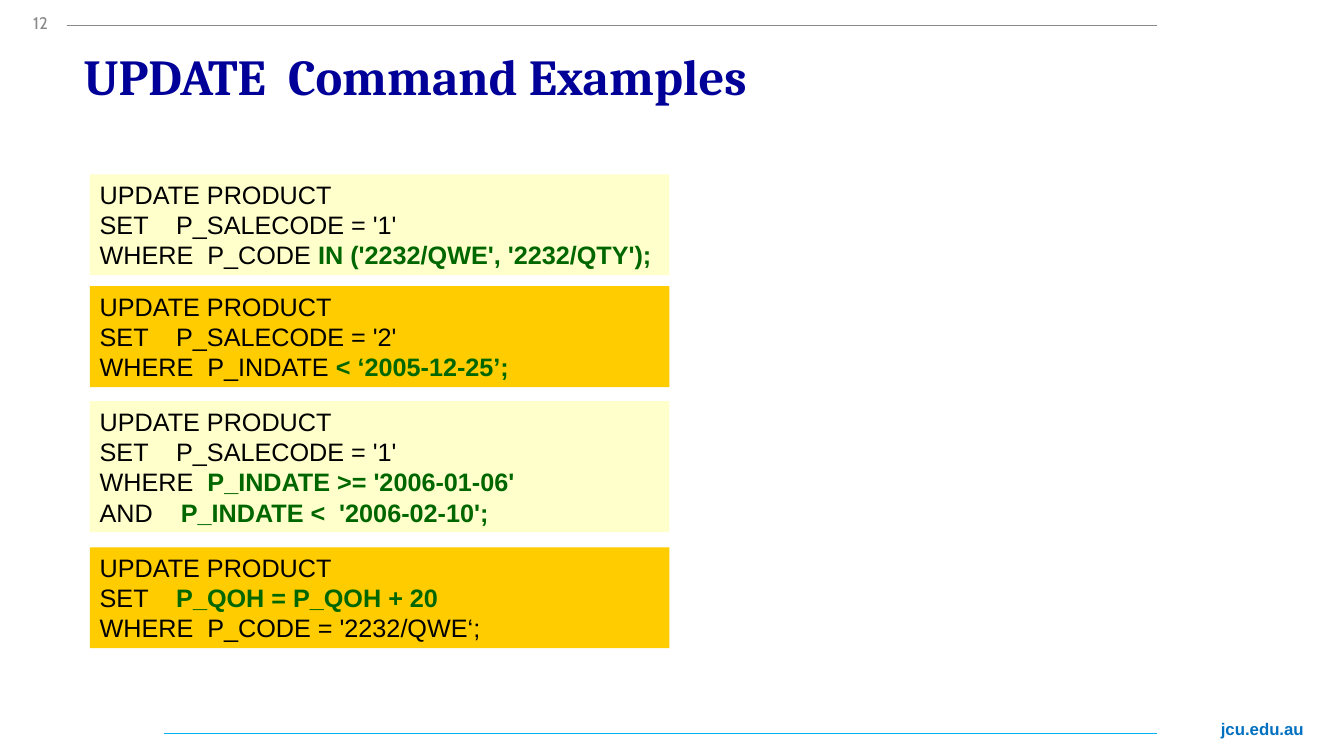
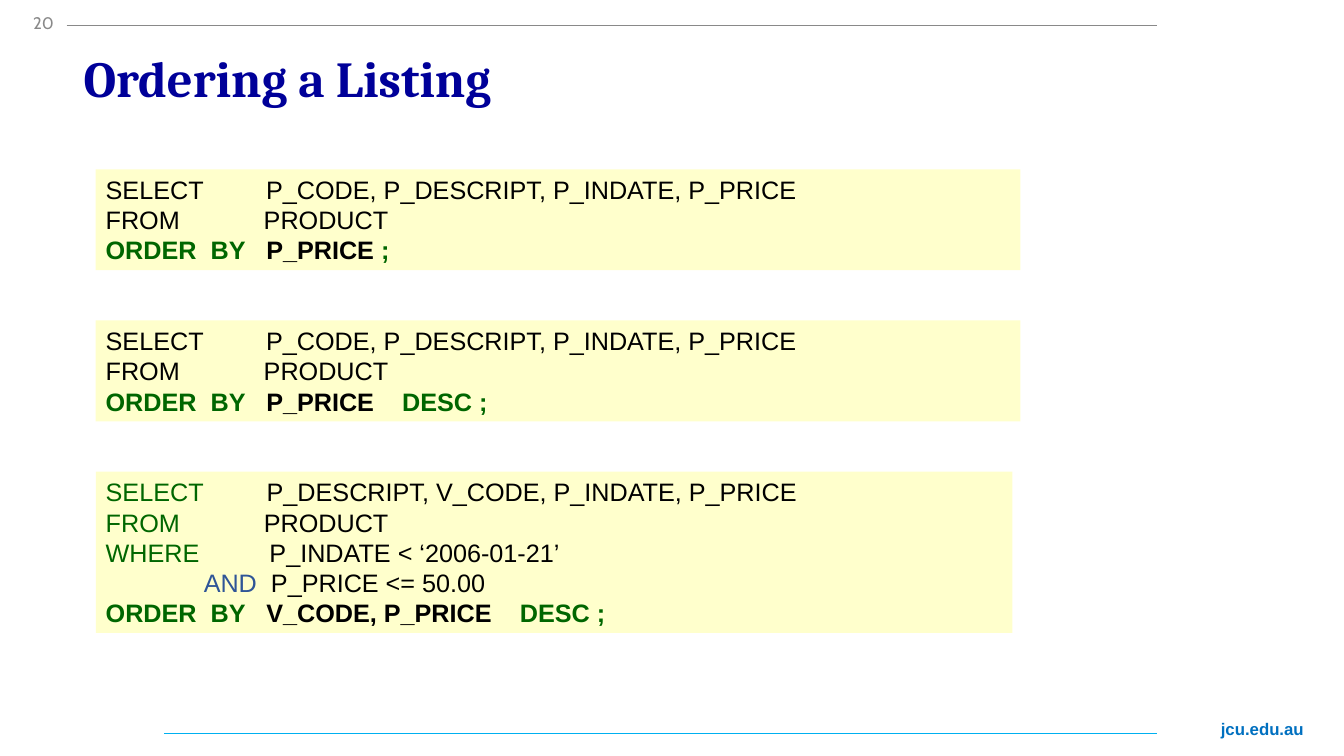
from lxml import etree
from pptx import Presentation
from pptx.dml.color import RGBColor
from pptx.enum.shapes import MSO_CONNECTOR, MSO_SHAPE
from pptx.enum.text import MSO_ANCHOR, PP_ALIGN
from pptx.oxml.ns import qn
from pptx.util import Inches, Pt

COLORS = {
    "title": "000099",
    "site": "0070C0",
    "number": "898989",
    "top_rule": "898989",
    "bottom_rule": "00B0F0",
    "cream": "FFFFCC",
    "amber": "FFCC00",
    "black": "000000",
    "green": "006600",
    "blue": "2F5597",
}

# Code styles: colour and bold
PLAIN = ("black", False)
STRONG = ("black", True)
KEYWORD = ("green", False)
KEY_STRONG = ("green", True)
OPERATOR = ("blue", False)

LINE_HEIGHT = 0.3
CODE_PADDING = 0.1


def rgb(name):
    return RGBColor.from_string(COLORS[name])


def style_run(run, size, font, color, bold=False):
    run.font.size = Pt(size)
    run.font.name = font
    run.font.bold = bold
    run.font.color.rgb = rgb(color)


def add_label(slide, box, text, size, font, color, bold=False):
    label = slide.shapes.add_textbox(*map(Inches, box))
    label.text_frame.word_wrap = True
    paragraph = label.text_frame.paragraphs[0]
    paragraph.text = text
    style_run(paragraph.runs[0], size, font, color, bold)
    return paragraph


def add_rule(slide, left, right, y, color):
    rule = slide.shapes.add_connector(
        MSO_CONNECTOR.STRAIGHT, Inches(left), Inches(y), Inches(right), Inches(y))
    rule.line.color.rgb = rgb(color)
    rule.line.width = Pt(0.5)
    etree.SubElement(rule._element.spPr, qn("a:effectLst"))


def add_code(slide, left, top, width, fill, lines):
    """Draw a filled code box; each line is a list of (text, style) pieces."""
    height = LINE_HEIGHT * len(lines) + CODE_PADDING
    code = slide.shapes.add_shape(
        MSO_SHAPE.RECTANGLE, *map(Inches, (left, top, width, height)))
    code.shadow.inherit = False
    code.fill.solid()
    code.fill.fore_color.rgb = rgb(fill)
    code.line.fill.background()
    frame = code.text_frame
    frame.word_wrap = True
    frame.vertical_anchor = MSO_ANCHOR.TOP
    for index, pieces in enumerate(lines):
        paragraph = frame.add_paragraph() if index else frame.paragraphs[0]
        paragraph.alignment = PP_ALIGN.LEFT
        for text, (color, bold) in pieces:
            run = paragraph.add_run()
            run.text = text
            style_run(run, 18, "Arial", color, bold)


def add_page(prs, number, title, title_top):
    """Add a slide with the shared rules, site address, number and title."""
    slide = prs.slides.add_slide(prs.slide_layouts[6])
    add_label(slide, (12.01, 7.08, 1.05, 0.3), "jcu.edu.au", 12, "Arial", "site", True)
    add_rule(slide, 1.63, 11.48, 7.28, "bottom_rule")
    add_rule(slide, 0.66, 11.48, 0.25, "top_rule")
    heading = add_label(
        slide, (0.73, title_top, 8.82, 0.56), title, 36, "Cambria", "title", True)
    heading.line_spacing = 0.9
    add_label(slide, (0.23, 0.08, 0.5, 0.37), number, 12, "Cabin", "number")
    return slide


def build_update_slide(prs):
    slide = add_page(prs, "12", "UPDATE  Command Examples", 0.47)
    examples = [
        (1.73, [
            [("SET    P_SALECODE = '1'", PLAIN)],
            [("WHERE  P_CODE ", PLAIN), ("IN ('2232/QWE', '2232/QTY');", KEY_STRONG)],
        ]),
        (2.84, [
            [("SET    P_SALECODE = '2'", PLAIN)],
            [("WHERE  P_INDATE ", PLAIN), ("< ‘2005-12-25’;", KEY_STRONG)],
        ]),
        (3.98, [
            [("SET    P_SALECODE = '1'", PLAIN)],
            [("WHERE  ", PLAIN), ("P_INDATE >= '2006-01-06'", KEY_STRONG)],
            [("AND    ", PLAIN), ("P_INDATE <  '2006-02-10';", KEY_STRONG)],
        ]),
        (5.43, [
            [("SET    ", PLAIN), ("P_QOH = P_QOH + 20", KEY_STRONG)],
            [("WHERE  P_CODE = '2232/QWE‘;", PLAIN)],
        ]),
    ]
    for index, (top, clauses) in enumerate(examples):
        fill = "amber" if index % 2 else "cream"
        add_code(slide, 0.89, top, 5.75, fill, [[("UPDATE PRODUCT", PLAIN)]] + clauses)


def build_ordering_slide(prs):
    slide = add_page(prs, "20", "Ordering a Listing", 0.49)
    price_query = [
        [("SELECT         P_CODE, P_DESCRIPT, P_INDATE, P_PRICE", PLAIN)],
        [("FROM            PRODUCT", PLAIN)],
    ]
    order_by = ("ORDER  BY   ", KEY_STRONG)
    filtered_query = [
        [("SELECT", KEYWORD),
         ("         P_DESCRIPT, V_CODE, P_INDATE, P_PRICE", PLAIN)],
        [("FROM", KEYWORD), ("            PRODUCT", PLAIN)],
        [("WHERE ", KEYWORD), ("         P_INDATE < ‘2006-01-21’", PLAIN)],
        [("              ", PLAIN), ("AND", OPERATOR), ("  P_PRICE <= 50.00", PLAIN)],
        [order_by, ("V_CODE, P_PRICE    ", STRONG), ("DESC ;", KEY_STRONG)],
    ]
    queries = [
        (9.17, price_query + [[order_by, ("P_PRICE", STRONG), (ending, KEY_STRONG)]])
        for ending in (" ;", "    DESC ;")
    ] + [(9.09, filtered_query)]
    for index, (width, lines) in enumerate(queries):
        add_code(slide, 0.95, 1.68 + 1.5 * index, width, "cream", lines)


def main():
    prs = Presentation()
    prs.slide_width = Inches(13.33)
    prs.slide_height = Inches(7.5)
    build_update_slide(prs)
    build_ordering_slide(prs)
    prs.save("out.pptx")


if __name__ == "__main__":
    main()
